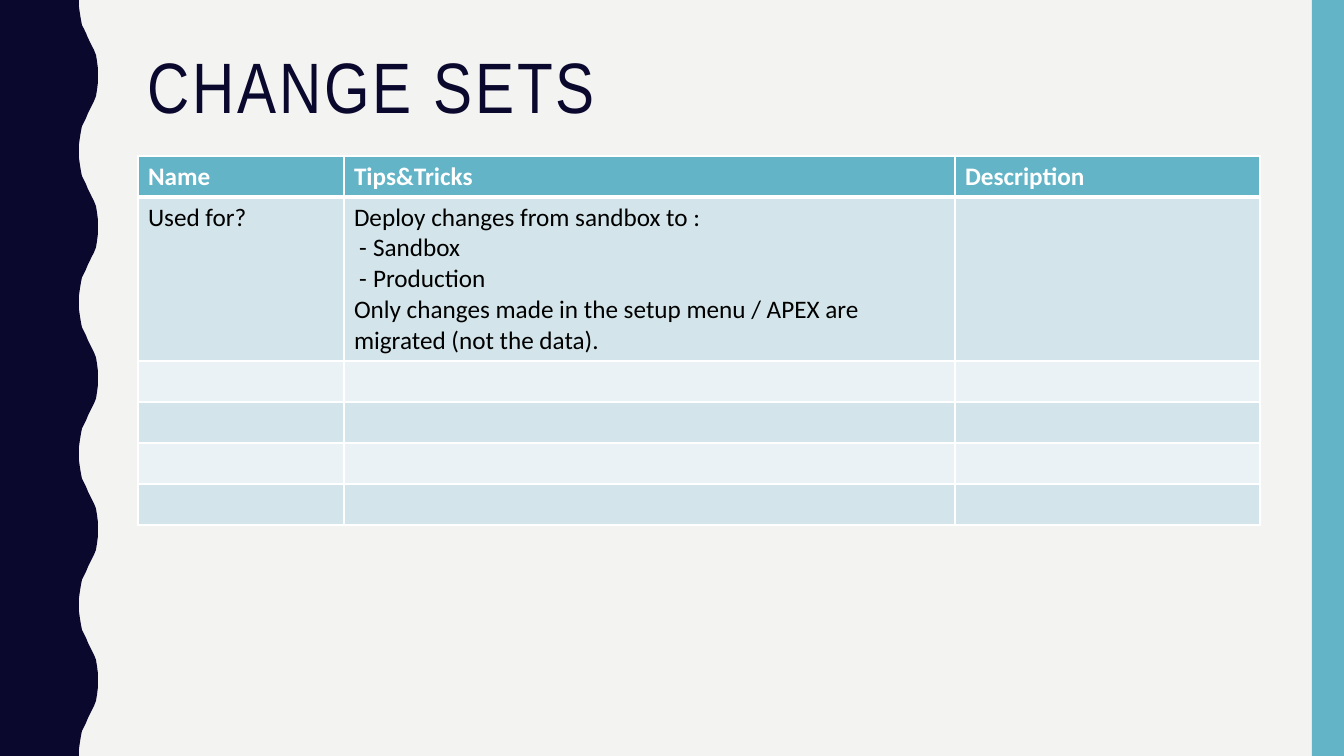
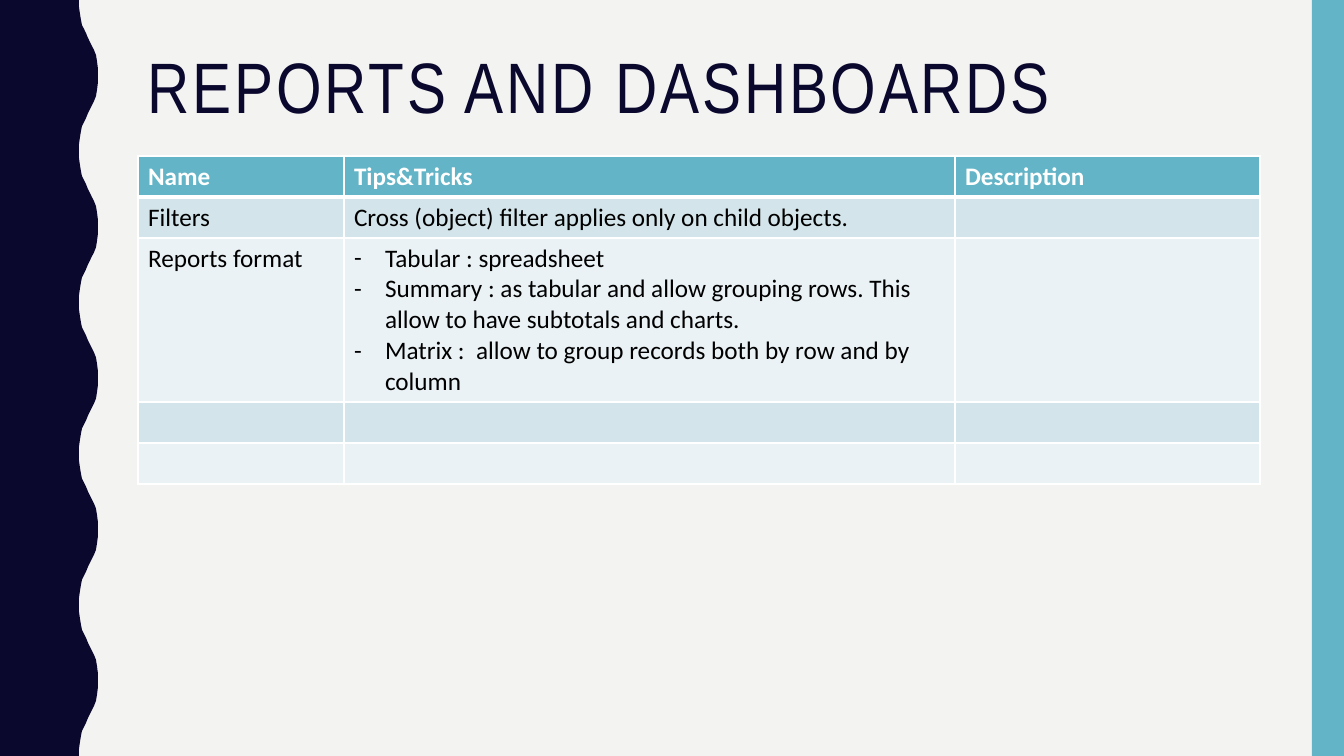
from pptx import Presentation
from pptx.dml.color import RGBColor
from pptx.enum.shapes import MSO_SHAPE
from pptx.enum.text import MSO_ANCHOR
from pptx.oxml.ns import qn
from pptx.util import Pt
from lxml.etree import SubElement

COLORS = {
    "paper": "F3F3F2",
    "navy": "0B082E",
    "teal": "62B4C6",
    "odd": "D3E5EA",
    "even": "EAF2F5",
    "white": "FFFFFF",
    "black": "000000",
}
WIDE, HIGH = 1344, 756
LEFT, TOP, SPAN = 138, 156, 1122
COLS = [206, 611, 305]
ROW, TALL = 41, 164
WAVES = 5
WAVE = [
    (79, 0), (79, 7), (80, 14), (81, 20), (82, 25), (84, 29), (86, 33), (88, 38),
    (90, 42), (92, 46), (94, 50), (96, 55), (97, 61), (98, 69), (98, 75),
]
HEAD = ["Name", "Tips&Tricks", "Description"]
SLIDES = [
    {
        "title": "CHANGE SETS",
        "rows": [
            ("Used for?", [
                ("Deploy changes from sandbox to :", None),
                ("Sandbox", (19, 14)),
                ("Production", (19, 14)),
                ("Only changes made in the setup menu / APEX are migrated (not the data).", None),
            ]),
        ],
        "blank": 4,
    },
    {
        "title": "REPORTS AND DASHBOARDS",
        "rows": [
            ("Filters", "Cross (object) filter applies only on child objects."),
            ("Reports format", [
                ("Tabular : spreadsheet", (31, 31)),
                ("Summary : as tabular and allow grouping rows. "
                 "This allow to have subtotals and charts.", (31, 31)),
                ("Matrix :  allow to group records both by row and by column", (31, 31)),
            ]),
        ],
        "blank": 2,
    },
]


def px(num):
    return round(num * 914400 / 100.8)


def rgb(name):
    return RGBColor.from_string(COLORS[name])


def write(frame, text, font="Calibri", size=18, color="black", bold=False, track=0, line=None):
    lines = [(text, None)] if isinstance(text, str) else text
    for num, (words, dash) in enumerate(lines):
        para = frame.add_paragraph() if num else frame.paragraphs[0]
        if dash:
            left, hang = dash
            props = para._p.get_or_add_pPr()
            props.set("marL", str(px(left)))
            props.set("indent", str(-px(hang)))
            SubElement(props, qn("a:buFont"), typeface="Calibri")
            SubElement(props, qn("a:buChar"), char="-")
        if line:
            para.line_spacing = line
        run = para.add_run()
        run.text = words
        run.font.name = font
        run.font.size = Pt(size)
        run.font.bold = bold
        run.font.color.rgb = rgb(color)
        if track:
            run.font._element.set("spc", str(track * 100))


def paint(shape, color):
    shape.shadow.inherit = False
    shape.fill.solid()
    shape.fill.fore_color.rgb = rgb(color)
    shape.line.fill.background()


def frame_art(slide):
    slide.background.fill.solid()
    slide.background.fill.fore_color.rgb = rgb("paper")
    step = HIGH / WAVES
    edge = []
    for num in range(WAVES):
        edge += [(x, num * step + y) for x, y in WAVE]
        edge += [(x, (num + 1) * step - y) for x, y in reversed(WAVE)]
    path = slide.shapes.build_freeform(0, 0, scale=1.0)
    path.add_line_segments([(px(x), px(y)) for x, y in edge + [(0, HIGH)]], close=True)
    paint(path.convert_to_shape(), "navy")
    band = slide.shapes.add_shape(MSO_SHAPE.RECTANGLE, px(1312), 0, px(32), px(HIGH))
    paint(band, "teal")


def add_title(slide, text):
    box = slide.shapes.add_textbox(px(LEFT), px(42), px(SPAN), px(96))
    box.text_frame.word_wrap = True
    box.text_frame.vertical_anchor = MSO_ANCHOR.MIDDLE
    write(box.text_frame, text, font="Arial Narrow", size=51, color="navy", track=2, line=0.9)


def border(cell, row):
    props = cell._tc.get_or_add_tcPr()
    wide = {"lnL": 1, "lnR": 1, "lnT": 3 if row == 1 else 1, "lnB": 1 if row else 3}
    for side, size in wide.items():
        line = SubElement(props, qn("a:" + side), w=str(Pt(size)))
        fill = SubElement(line, qn("a:solidFill"))
        SubElement(fill, qn("a:srgbClr"), val=COLORS["white"])


def add_grid(slide, rows, blank):
    data = [HEAD] + [(name, tips, "") for name, tips in rows] + [("", "", "")] * blank
    sizes = [TALL if isinstance(row[1], list) else ROW for row in data]
    grid = slide.shapes.add_table(
        len(data), len(COLS), px(LEFT), px(TOP), px(SPAN), px(sum(sizes))).table
    for col, wide in zip(grid.columns, COLS):
        col.width = px(wide)
    for row, (items, size) in enumerate(zip(data, sizes)):
        grid.rows[row].height = px(size)
        for col, text in enumerate(items):
            cell = grid.cell(row, col)
            border(cell, row)
            cell.fill.solid()
            shade = ("odd" if row % 2 else "even") if row else "teal"
            cell.fill.fore_color.rgb = rgb(shade)
            if text:
                write(cell.text_frame, text, color="black" if row else "white", bold=not row)


def main():
    deck = Presentation()
    deck.slide_width, deck.slide_height = px(WIDE), px(HIGH)
    for page in SLIDES:
        slide = deck.slides.add_slide(deck.slide_layouts[6])
        frame_art(slide)
        add_title(slide, page["title"])
        add_grid(slide, page["rows"], page["blank"])
    deck.save("out.pptx")


if __name__ == "__main__":
    main()
